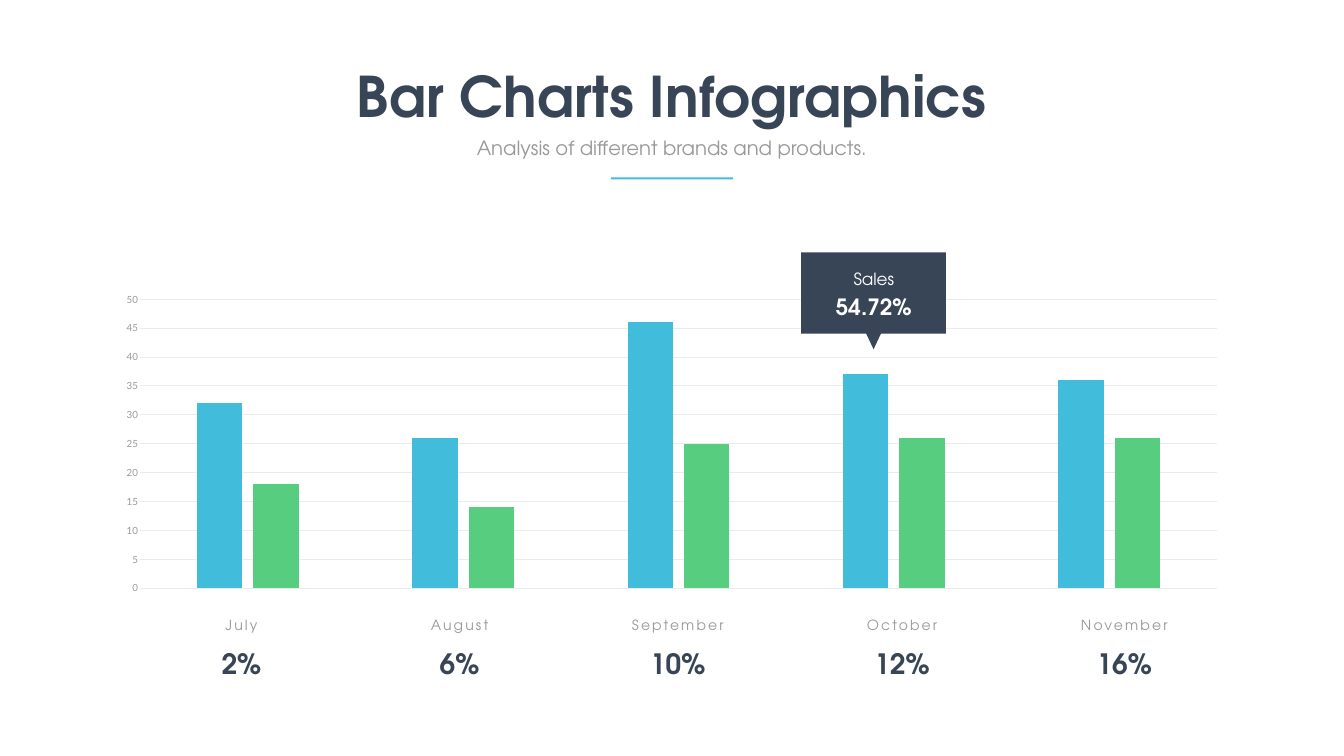
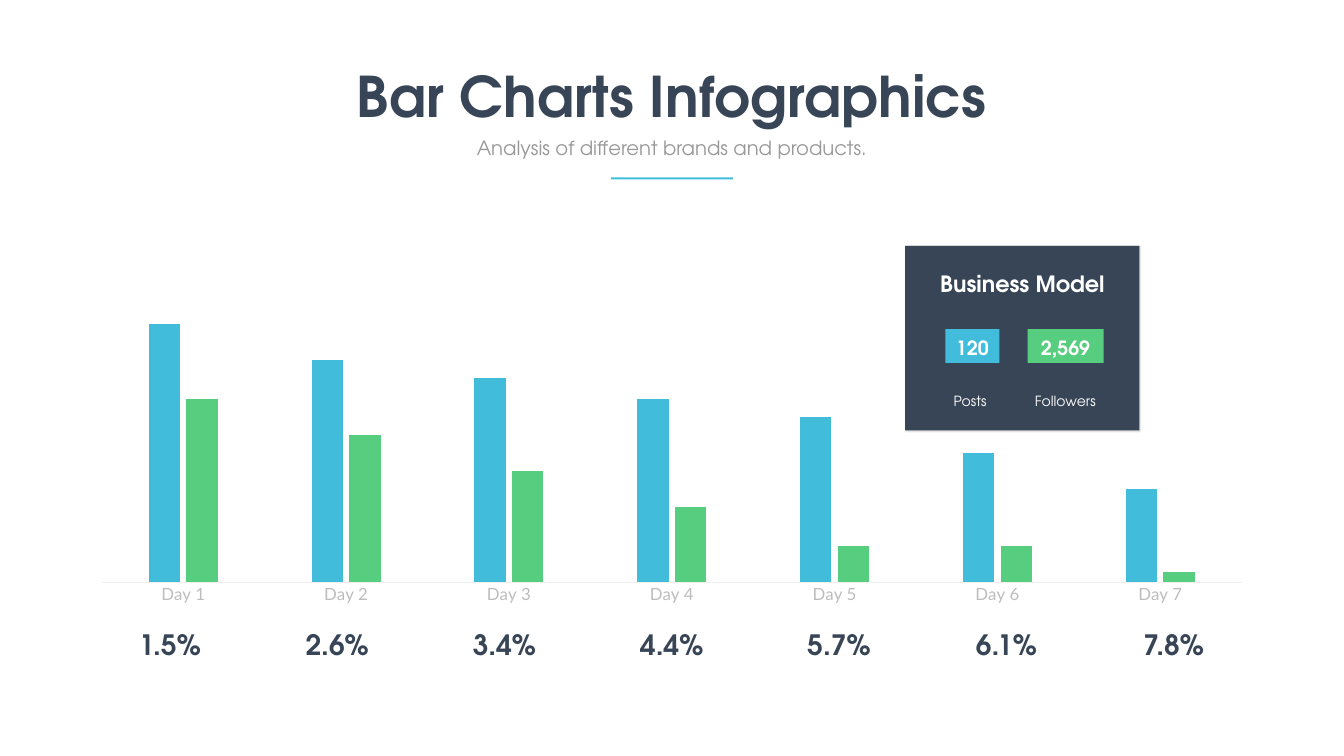
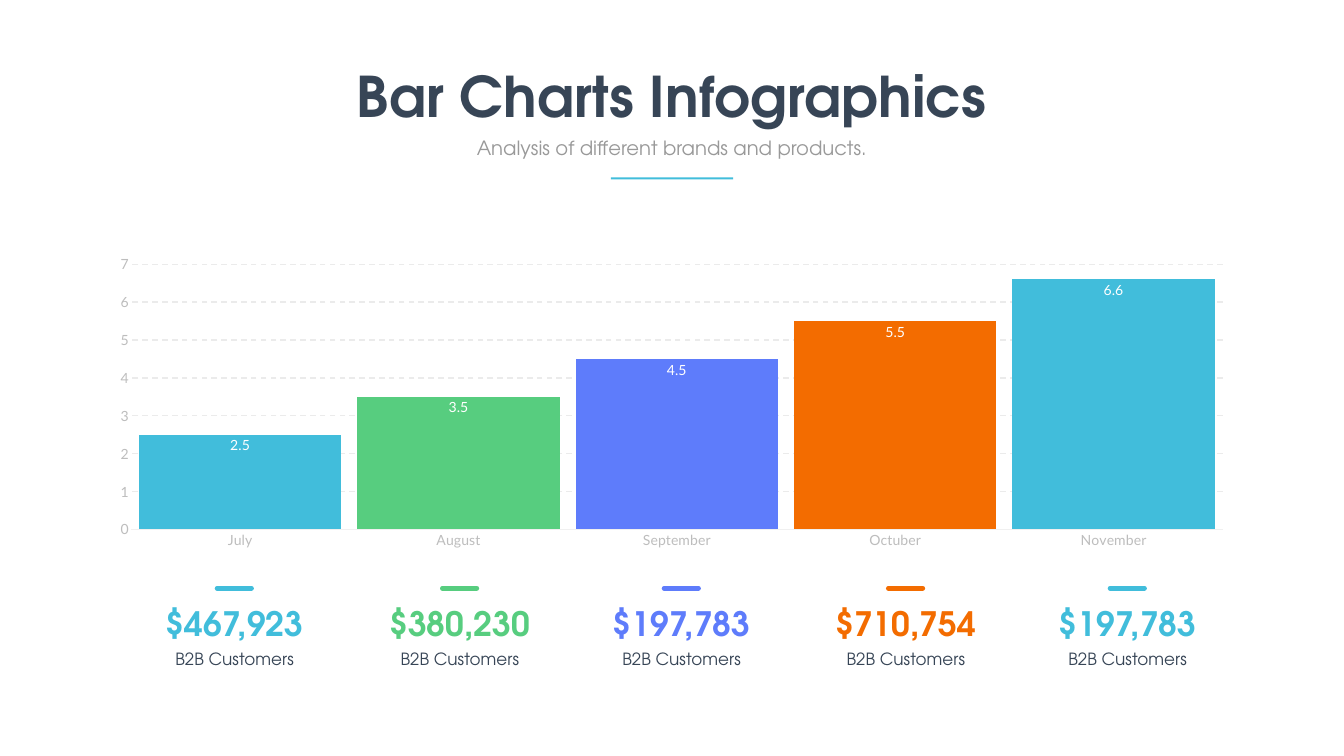
from lxml import etree
from pptx import Presentation
from pptx import util as u
from pptx.chart.data import CategoryChartData
from pptx.dml.color import RGBColor
from pptx.enum import chart as ch, dml, shapes, text
from pptx.oxml.ns import qn

COLORS = {
    "navy": "374556", "blue": "41BDDB", "green": "57CD7F", "violet": "5E7CFB",
    "orange": "F36C00", "gray": "999999", "light": "BDBDBD", "grid": "EBEBEB",
    "axis": "F0F0F0", "white": "FFFFFF", "shadow": "000104",
}
TITLE_FONT = "TeX Gyre Adventor"
CHART_FONT = "Lato"


def rgb(name):
    return RGBColor.from_string(COLORS[name])


def style_font(font, size, color, name=TITLE_FONT, bold=False):
    font.size, font.name, font.bold = u.Pt(size), name, bold
    font.color.rgb = rgb(color)


def add_text(slide, content, left, top, width, height, size=24, color="navy",
             bold=False, wrap=True, line_points=None, spacing=None):
    box = slide.shapes.add_textbox(*map(u.Inches, (left, top, width, height)))
    frame = box.text_frame
    frame.word_wrap = wrap
    frame.auto_size = text.MSO_AUTO_SIZE.SHAPE_TO_FIT_TEXT
    paragraph = frame.paragraphs[0]
    paragraph.alignment = text.PP_ALIGN.CENTER
    if line_points:
        paragraph.line_spacing = u.Pt(line_points)
    run = paragraph.add_run()
    run.text = content
    style_font(run.font, size, color, bold=bold)
    if spacing:
        run.font._element.set("spc", str(spacing * 100))


def add_block(parent, left, top, width, height, color,
              kind=shapes.MSO_SHAPE.RECTANGLE):
    shape = parent.shapes.add_shape(kind, *map(u.Inches, (left, top, width, height)))
    shape.shadow.inherit = False
    shape.fill.solid()
    shape.fill.fore_color.rgb = rgb(color)
    shape.line.fill.background()
    return shape


def add_soft_shadow(shape):
    effects = shape._element.spPr.find(qn("a:effectLst"))
    shadow = etree.SubElement(effects, qn("a:outerShdw"), blurRad=str(u.Pt(2)),
                              dist=str(u.Pt(1)), dir=str(45 * 60000), rotWithShape="0")
    color = etree.SubElement(shadow, qn("a:srgbClr"), val=COLORS["shadow"])
    etree.SubElement(color, qn("a:alpha"), val="15000")


def add_dash(slide, center, top, color, width=0.68):
    line = slide.shapes.add_connector(
        shapes.MSO_CONNECTOR.STRAIGHT,
        *map(u.Inches, (center - width / 2, top, center + width / 2, top)))
    line.line.color.rgb = rgb(color)
    line.line.width = u.Pt(7)
    line.line._get_or_add_ln().set("cap", "rnd")
    etree.SubElement(line._element.spPr, qn("a:effectLst"))


def add_column_chart(slide, place, categories, series, gap, overlap, top_value, step, size):
    """series is a list of (values, color) pairs."""
    data = CategoryChartData()
    data.categories = categories
    for number, (values, _) in enumerate(series, 1):
        data.add_series(f"Series {number}", values)
    chart = slide.shapes.add_chart(ch.XL_CHART_TYPE.COLUMN_CLUSTERED,
                                   *map(u.Inches, place), data).chart
    chart.has_title = chart.has_legend = False
    style_font(chart.font, size, "gray", CHART_FONT)
    plot = chart.plots[0]
    plot.gap_width, plot.overlap, plot.vary_by_categories = gap, overlap, False
    for columns, (_, color) in zip(plot.series, series):
        columns.invert_if_negative = False
        columns.format.fill.solid()
        columns.format.fill.fore_color.rgb = rgb(color)
    axis = chart.value_axis
    axis.minimum_scale, axis.maximum_scale, axis.major_unit = 0, top_value, step
    for each in (axis, chart.category_axis):
        each.major_tick_mark = ch.XL_TICK_MARK.NONE
    return chart


def style_value_axis(chart, size, color, grid_width, dash=None):
    axis = chart.value_axis
    style_font(axis.tick_labels.font, size, color, CHART_FONT)
    axis.format.line.fill.background()
    axis.has_major_gridlines = True
    grid = axis.major_gridlines.format.line
    grid.color.rgb, grid.width = rgb("grid"), u.Pt(grid_width)
    if dash:
        grid.dash_style = dash


def style_category_axis(chart, size):
    axis = chart.category_axis
    style_font(axis.tick_labels.font, size, "light", CHART_FONT)
    axis.format.line.color.rgb = rgb("axis")
    axis.format.line.width = u.Pt(0.75)


def add_header(slide):
    add_text(slide, "Bar Charts Infographics", 6.92, 1.17, 12.82, 1.45,
             size=80, bold=True, wrap=False)
    add_text(slide, "Analysis of different brands and products.",
             8.55, 2.65, 9.56, 0.57, size=28, color="gray")
    add_block(slide, 12.12, 3.52, 2.43, 0.04, "blue")


def build_monthly_sales(slide):
    chart = add_column_chart(
        slide, (2.06, 5.69, 22.54, 6.22), ["1", "2", "3", "4", "5"],
        [((32, 26, 46, 37, 36), "blue"), ((18, 14, 25, 26, 26), "green")],
        gap=250, overlap=-24, top_value=50, step=5, size=14)
    style_value_axis(chart, 14, "gray", 0.75)
    chart.category_axis.visible = False

    # Callout above October
    callout = slide.shapes.add_group_shape()
    add_block(callout, 15.9, 5.01, 2.87, 1.61, "navy")
    pointer = add_block(callout, 17.09, 6.41, 0.49, 0.52, "navy",
                        shapes.MSO_SHAPE.ISOSCELES_TRIANGLE)
    pointer.rotation = 180
    add_text(slide, "Sales", 16.43, 5.12, 1.82, 0.6, color="white", line_points=40.8)
    add_text(slide, "54.72%", 16.43, 5.77, 1.82, 0.64, size=32, color="white", bold=True)

    # Months and their shares
    months = [("July", "2%", 4.79), ("August", "6%", 9.12), ("September", "10%", 13.45),
              ("October", "12%", 17.9), ("November", "16%", 22.31)]
    for month, share, center in months:
        add_text(slide, share, center - 1.29, 12.77, 2.58, 0.77, size=40, bold=True)
        add_text(slide, month, center - 1.46, 12.18, 2.92, 0.44, size=20,
                 color="gray", spacing=3)


def build_daily_activity(slide):
    chart = add_column_chart(
        slide, (1.55, 5.94, 23.56, 6.18), [f"Day {day}" for day in range(1, 8)],
        [((100, 86, 79, 71, 64, 50, 36), "blue"), ((71, 57, 43, 29, 14, 14, 4), "green")],
        gap=300, overlap=-20, top_value=107, step=20, size=24)
    style_category_axis(chart, 24)
    chart.value_axis.has_major_gridlines = False
    chart.value_axis.visible = False

    # Business model card
    card = add_block(slide, 17.96, 4.88, 4.65, 3.66, "navy",
                     shapes.MSO_SHAPE.ROUNDED_RECTANGLE)
    card.adjustments[0] = 0
    add_soft_shadow(card)
    add_text(slide, "Business Model", 18.28, 5.31, 4.02, 0.64, size=32,
             color="white", bold=True)
    counters = [("120", "Posts", "blue", 18.76, 1.07, 19.25),
                ("2,569", "Followers", "green", 20.39, 1.51, 21.14)]
    for count, label, color, left, width, center in counters:
        add_block(slide, left, 6.53, width, 0.67, color)
        add_text(slide, count, left + width / 2 - 0.65, 6.61, 1.3, 0.57,
                 size=28, color="white", bold=True)
        add_text(slide, label, center - 0.75, 7.73, 1.5, 0.44, size=20, color="white")

    # Daily rates
    rates = ["1.5%", "2.6%", "3.4%", "4.4%", "5.7%", "6.1%", "7.8%"]
    for index, rate in enumerate(rates):
        add_text(slide, rate, 2.61 + 3.32 * index, 12.41, 1.52, 0.77, size=40, bold=True)


def build_customer_growth(slide):
    months = [("July", 2.5, "$467,923", "blue", 4.65),
              ("August", 3.5, "$380,230", "green", 9.12),
              ("September", 4.5, "$197,783", "violet", 13.52),
              ("Octuber", 5.5, "$710,754", "orange", 17.97),
              ("November", 6.6, "$197,783", "blue", 22.37)]
    chart = add_column_chart(
        slide, (1.94, 4.95, 22.78, 6.06), [month[0] for month in months],
        [([month[1] for month in months], "blue")],
        gap=8, overlap=-27, top_value=7, step=1, size=20)
    style_value_axis(chart, 20, "light", 2, dml.MSO_LINE.DASH)
    style_category_axis(chart, 20)
    columns = chart.plots[0].series[0]
    labels = columns.data_labels
    labels.show_value = True
    labels.position = ch.XL_LABEL_POSITION.INSIDE_END
    style_font(labels.font, 20, "white", CHART_FONT)

    # Column colours and the amounts below them
    for index, (_, _, amount, color, center) in enumerate(months):
        fill = columns.points[index].format.fill
        fill.solid()
        fill.fore_color.rgb = rgb(color)
        left = center - 2.42
        add_text(slide, amount, left, 11.91, 4.85, 0.91, size=48, color=color, bold=True)
        add_text(slide, "B2B Customers", left, 12.82, 4.85, 0.5)
        add_dash(slide, center, 11.67, color)


def main():
    presentation = Presentation()
    presentation.slide_width = u.Inches(26.67)
    presentation.slide_height = u.Inches(15)
    for build in (build_monthly_sales, build_daily_activity, build_customer_growth):
        slide = presentation.slides.add_slide(presentation.slide_layouts[6])
        slide.background.fill.solid()
        slide.background.fill.fore_color.rgb = rgb("white")
        build(slide)
        add_header(slide)
    presentation.save("out.pptx")


if __name__ == "__main__":
    main()
